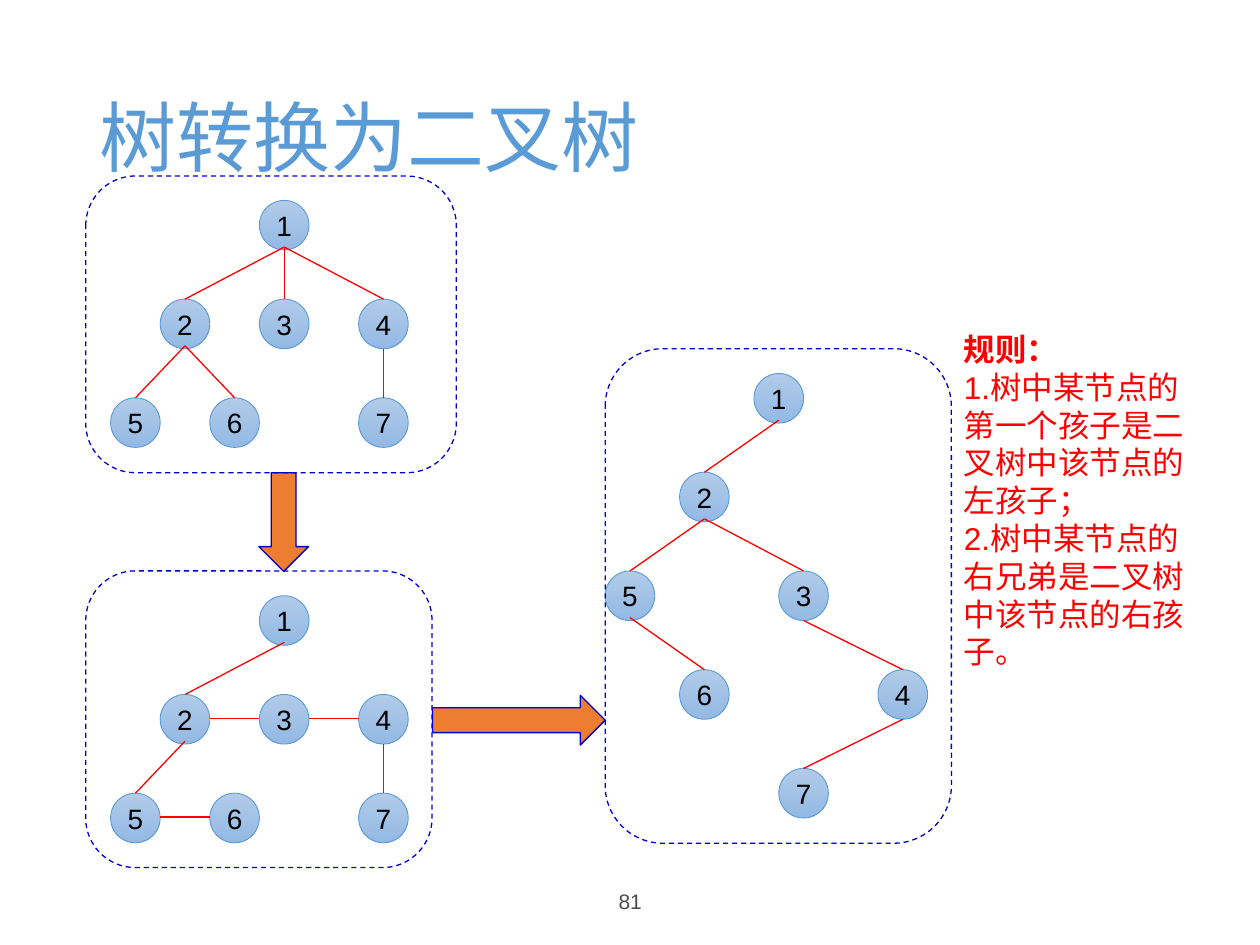
"""Build the slide on converting a tree into a binary tree."""
from lxml import etree
from pptx import Presentation
from pptx.dml.color import RGBColor
from pptx.enum.dml import MSO_LINE
from pptx.enum.shapes import MSO_CONNECTOR, MSO_SHAPE
from pptx.enum.text import MSO_ANCHOR, MSO_AUTO_SIZE, PP_ALIGN
from pptx.oxml.ns import qn
from pptx.util import Cm, Pt

STRAIGHT = MSO_CONNECTOR.STRAIGHT
OVAL, ROUNDED = MSO_SHAPE.OVAL, MSO_SHAPE.ROUNDED_RECTANGLE
DOWN_ARROW, RIGHT_ARROW = MSO_SHAPE.DOWN_ARROW, MSO_SHAPE.RIGHT_ARROW
DASH = MSO_LINE.DASH
MIDDLE = MSO_ANCHOR.MIDDLE
FIT_SHAPE = MSO_AUTO_SIZE.SHAPE_TO_FIT_TEXT
LEFT, CENTER = PP_ALIGN.LEFT, PP_ALIGN.CENTER

NODE = 1
STEP_X, STEP_Y = 0.5, 1.99
TREES = [
    {"left": 2.23, "top": 4.04,
     "nodes": {"1": (6, 0), "2": (2, 1), "3": (6, 1), "4": (10, 1),
               "5": (0, 2), "6": (4, 2), "7": (10, 2)},
     "children": ["12", "13", "14", "25", "26", "47"], "siblings": []},
    {"left": 2.23, "top": 12.01,
     "nodes": {"1": (6, 0), "2": (2, 1), "3": (6, 1), "4": (10, 1),
               "5": (0, 2), "6": (4, 2), "7": (10, 2)},
     "children": ["12", "25", "47"], "siblings": ["23", "34", "56"]},
    {"left": 12.2, "top": 7.53,
     "nodes": {"1": (6, 0), "2": (3, 1), "5": (0, 2), "3": (7, 2),
               "6": (3, 3), "4": (11, 3), "7": (7, 4)},
     "children": ["12", "25", "23", "56", "34", "47"], "siblings": []},
]
ARROWS = [(DOWN_ARROW, 5.22, 9.53, 1, 1.99),
          (RIGHT_ARROW, 8.72, 14.02, 3.48, 1)]
FRAMES = [(1.73, 3.55, 7.47, 5.98),
          (1.73, 11.51, 6.98, 5.98),
          (12.2, 7.03, 6.98, 9.97)]
RULES = ["规则：",
         "1.树中某节点的第一个孩子是二叉树中该节点的左孩子；",
         "2.树中某节点的右兄弟是二叉树中该节点的右孩子。"]


def color(value):
    return RGBColor.from_string(value)


def format_text(para, size, value, font="Arial", align=LEFT, bold=False):
    para.alignment = align
    for span in para.runs:
        span.font.name = font
        span.font.size = Pt(size)
        span.font.bold = bold
        span.font.color.rgb = color(value)


deck = Presentation()
deck.slide_width, deck.slide_height = Cm(25.4), Cm(19.05)
page = deck.slides.add_slide(deck.slide_layouts[5])

title = page.shapes.title
title.left, title.top, title.width, title.height = Cm(1.75), Cm(1.01), Cm(21.9), Cm(3.68)
title.text_frame.text = "树转换为二叉树"
title.text_frame.vertical_anchor = MIDDLE
title.text_frame.paragraphs[0].line_spacing = 0.9
format_text(title.text_frame.paragraphs[0], 44, "5B9BD5", "Calibri")

number = page.shapes.add_textbox(Cm(8.41), Cm(17.65), Cm(8.59), Cm(1.02))
number.text_frame.text = "81"
number.text_frame.word_wrap = True
number.text_frame.vertical_anchor = MIDDLE
format_text(number.text_frame.paragraphs[0], 12, "4B4B4B", align=CENTER)

for tree in TREES:
    corners = {label: (tree["left"] + column * STEP_X, tree["top"] + row * STEP_Y)
               for label, (column, row) in tree["nodes"].items()}
    for label, (x, y) in corners.items():
        node = page.shapes.add_shape(OVAL, Cm(x), Cm(y), Cm(NODE), Cm(NODE))
        node.shadow.inherit = False
        node.fill.gradient()
        node.fill.gradient_angle = 270
        for stop, value in zip(node.fill.gradient_stops, ["B1CBE9", "93B9E4"]):
            stop.color.rgb = color(value)
        node.line.color.rgb = color("5B9BD5")
        node.line.width = Pt(0.5)
        frame = node.text_frame
        frame.margin_left = frame.margin_right = frame.margin_top = frame.margin_bottom = 0
        frame.vertical_anchor = MIDDLE
        frame.text = label
        format_text(frame.paragraphs[0], 16, "000000", align=CENTER)

    edges = []
    for parent, child in tree["children"]:
        (x1, y1), (x2, y2) = corners[parent], corners[child]
        drop = 0.94 if parent in "125" else NODE
        edges.append((x1 + NODE / 2, y1 + drop, x2 + NODE / 2, y2))
    for first, second in tree["siblings"]:
        (x1, y1), (x2, y2) = corners[first], corners[second]
        edges.append((x1 + NODE, y1 + 0.48, x2, y2 + 0.48))
    for edge in edges:
        line = page.shapes.add_connector(STRAIGHT, *map(Cm, edge))
        line.line.color.rgb = color("FF0000")
        line.line.width = Pt(0.75)
        etree.SubElement(line.element.spPr, qn("a:effectLst"))

for kind, *place in ARROWS:
    arrow = page.shapes.add_shape(kind, *map(Cm, place))
    arrow.shadow.inherit = False
    arrow.fill.solid()
    arrow.fill.fore_color.rgb = color("ED7D31")
    arrow.line.color.rgb = color("0000CC")
    arrow.line.width = Pt(0.75)

rules = page.shapes.add_textbox(Cm(19.18), Cm(6.53), Cm(4.98), Cm(7.19))
rules.text_frame.word_wrap = True
rules.text_frame.auto_size = FIT_SHAPE
rules.text_frame.text = "\n".join(RULES)
for index, para in enumerate(rules.text_frame.paragraphs):
    format_text(para, 18, "FF0000", bold=index == 0)

for place in FRAMES:
    border = page.shapes.add_shape(ROUNDED, *map(Cm, place))
    border.shadow.inherit = False
    border.fill.background()
    border.line.color.rgb = color("0000CC")
    border.line.width = Pt(0.75)
    border.line.dash_style = DASH

deck.save("out.pptx")
